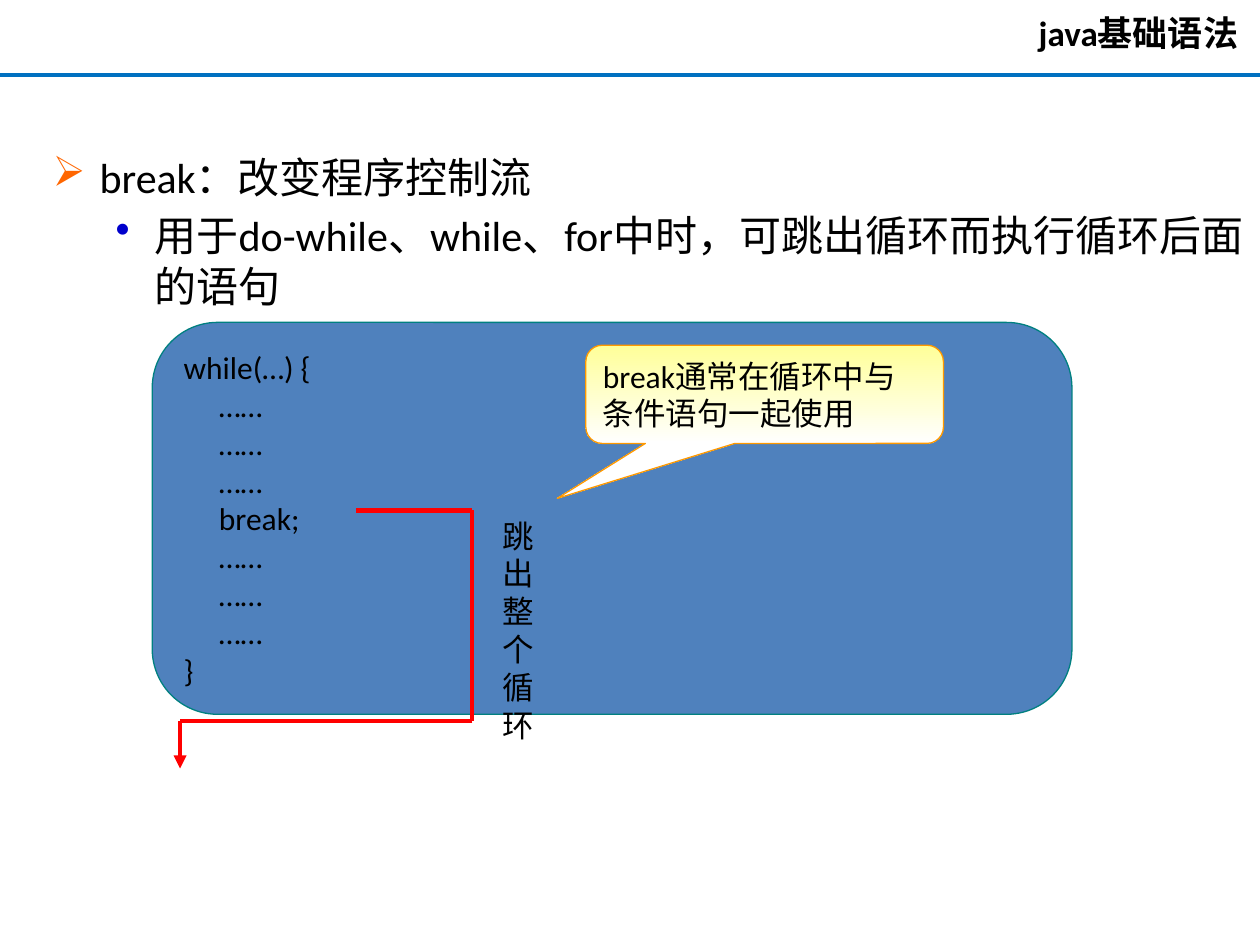
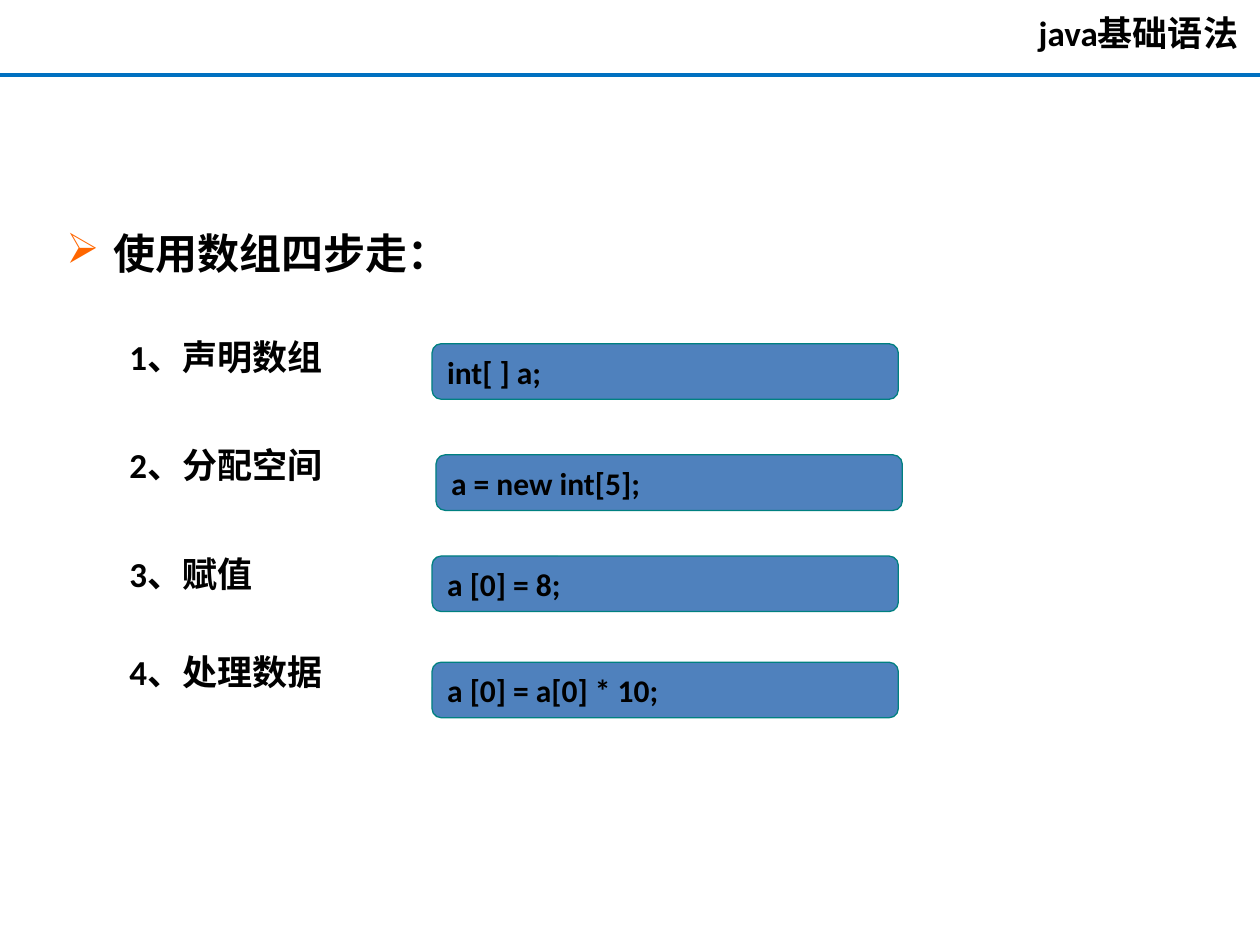
from dataclasses import dataclass
from itertools import pairwise

from lxml import etree
from pptx import Presentation
from pptx.dml.color import RGBColor
from pptx.enum.shapes import MSO_CONNECTOR, MSO_SHAPE
from pptx.enum.text import MSO_ANCHOR, PP_ALIGN
from pptx.oxml.ns import qn
from pptx.util import Cm, Pt

STRAIGHT = MSO_CONNECTOR.STRAIGHT
ROUND_RECT = MSO_SHAPE.ROUNDED_RECTANGLE
CALLOUT = MSO_SHAPE.ROUNDED_RECTANGULAR_CALLOUT
TOP, MIDDLE = MSO_ANCHOR.TOP, MSO_ANCHOR.MIDDLE
RIGHT = PP_ALIGN.RIGHT


@dataclass(frozen=True)
class Theme:
    font: str = "Calibri"
    text: str = "000000"
    rule: str = "0070C0"
    card: str = "4F81BD"
    card_line: str = "008080"
    note_top: str = "FFFF99"
    note_bottom: str = "FFFFFF"
    note_line: str = "FF9900"
    jump: str = "FF0000"
    arrow_bullet: str = "FF6600"
    dot_bullet: str = "0000CC"
    heading: int = 24
    title: int = 20
    step: int = 20
    code: int = 18


T = Theme()
WIDTH, HEIGHT = 25.4, 19.05


def rgb(color):
    return RGBColor.from_string(color)


def cm(*lengths):
    return [Cm(v) for v in lengths]


# Text helpers
def style(p, size, bold=False):
    for r in p.runs:
        f = r.font
        f.name, f.size, f.bold = T.font, Pt(size), bold
        f.color.rgb = rgb(T.text)
        ea = etree.SubElement(r._r.get_or_add_rPr(), qn("a:ea"))
        ea.set("typeface", T.font)


def write(tf, lines, size, bold=False, anchor=TOP):
    tf.word_wrap = True
    tf.vertical_anchor = anchor
    tf.text = "\n".join(lines)
    for p in tf.paragraphs:
        p.alignment = PP_ALIGN.LEFT
        style(p, size, bold)
    return tf.paragraphs


def indent(p, left, first=0):
    pPr = p._p.get_or_add_pPr()
    pPr.set("marL", str(Cm(left)))
    pPr.set("indent", str(Cm(first)))
    return pPr


def bullet(p, char, color, left, hang):
    pPr = indent(p, left, -hang)
    clr = etree.SubElement(pPr, qn("a:buClr"))
    etree.SubElement(clr, qn("a:srgbClr")).set("val", color)
    etree.SubElement(pPr, qn("a:buChar")).set("char", char)


def text_box(s, box, lines, size, bold=False):
    return write(s.shapes.add_textbox(*cm(*box)).text_frame, lines, size, bold)


# Shape helpers
def line(s, start, end, color, width, arrow=False):
    c = s.shapes.add_connector(STRAIGHT, *cm(*start, *end))
    c.line.color.rgb = rgb(color)
    c.line.width = Pt(width)
    if arrow:
        etree.SubElement(c.line._get_or_add_ln(), qn("a:tailEnd")).set("type", "triangle")
    etree.SubElement(c._element.spPr, qn("a:effectLst"))


def panel(s, kind, box, lines, border, bold=False):
    sp = s.shapes.add_shape(kind, *cm(*box))
    sp.shadow.inherit = False
    sp.fill.solid()
    sp.fill.fore_color.rgb = rgb(T.card)
    sp.line.color.rgb = rgb(border)
    sp.line.width = Pt(0.75)
    write(sp.text_frame, lines, T.code, bold, MIDDLE)
    return sp


# Shared header: title at the right above a full-width rule
def header(s):
    line(s, (0, 1.52), (WIDTH, 1.52), T.rule, 2.25)
    p = text_box(s, (17.5, 0.1, 7.71, 1.12), ["java基础语法"], T.title, True)[0]
    p.alignment = RIGHT


# Code of a loop, with the jump out of it and a callout
def loop_figure(s, box):
    x, y, _, _ = box
    dots = ["……"] * 3
    body = [*dots, "break;", *dots]
    code = panel(s, ROUND_RECT, box, ["while(…) {", *body, "}"], T.card_line)
    for p in code.text_frame.paragraphs[1:-1]:
        indent(p, 0.71)

    # Jump from break to below the loop
    route = [(4.11, 3.79), (6.45, 3.79), (6.45, 8.03), (0.56, 8.03), (0.56, 8.99)]
    route = [(x + dx, y + dy) for dx, dy in route]
    for start, end in pairwise(route):
        line(s, start, end, T.jump, 2.5, arrow=end == route[-1])
    text_box(s, (x + 6.81, y + 3.79, 1.27, 5), ["跳出整个循环"], T.code)

    # Callout
    note = panel(s, CALLOUT, (x + 8.74, y + 0.46, 7.21, 1.98),
                 ["break通常在循环中与条件语句一起使用"], T.note_line)
    note.adjustments[0], note.adjustments[1] = -0.58, 1.06
    note.fill.gradient()
    note.fill.gradient_angle = 270
    for stop, color in zip(note.fill.gradient_stops, (T.note_top, T.note_bottom)):
        stop.color.rgb = rgb(color)


def break_slide(s):
    header(s)
    head, detail = text_box(
        s, (0.81, 2.92, 24.51, 12.57),
        ["break：改变程序控制流",
         "用于do-while、while、for中时，可跳出循环而执行循环后面的语句"], T.heading)
    bullet(head, "➢", T.arrow_bullet, 0.95, 0.95)
    detail.space_before = Pt(4.8)
    bullet(detail, "•", T.dot_bullet, 2.06, 0.79)
    loop_figure(s, (3.07, 6.5, 18.54, 7.9))


# Step names with a code card beside each: name, space before, code, card offset
STEPS = [
    ("1、声明数组", 32.4, "int[ ] a;", 0, 0),
    ("2、分配空间", 38, "a = new int[5];", 0.08, 0.1),
    ("3、赋值", 38, "a [0] = 8;", 0, 0),
    ("4、处理数据", 32.4, "a [0] = a[0] * 10;", 0, 0),
]


def steps_region(s, box):
    x, y, _, _ = box
    names = [step[0] for step in STEPS]
    head, *paras = text_box(s, box, ["使用数组四步走：", *names], T.step, True)
    bullet(head, "➢", T.arrow_bullet, 0.95, 0.95)
    head.runs[0].font.size = Pt(T.heading)
    for i, (p, (_, gap, code, dx, dy)) in enumerate(zip(paras, STEPS)):
        p.space_before = Pt(gap)
        indent(p, 1.27)
        card = (x + 7.62 + dx, y + 2.46 + i * 2.14 + dy, 9.4, 1.12)
        panel(s, ROUND_RECT, card, [code], T.card_line, True)


def array_slide(s):
    header(s)
    steps_region(s, (1.09, 4.47, 19.2, 11.05))


def main():
    prs = Presentation()
    prs.slide_width, prs.slide_height = cm(WIDTH, HEIGHT)
    for build in (break_slide, array_slide):
        build(prs.slides.add_slide(prs.slide_layouts[6]))
    prs.save("out.pptx")


if __name__ == "__main__":
    main()
